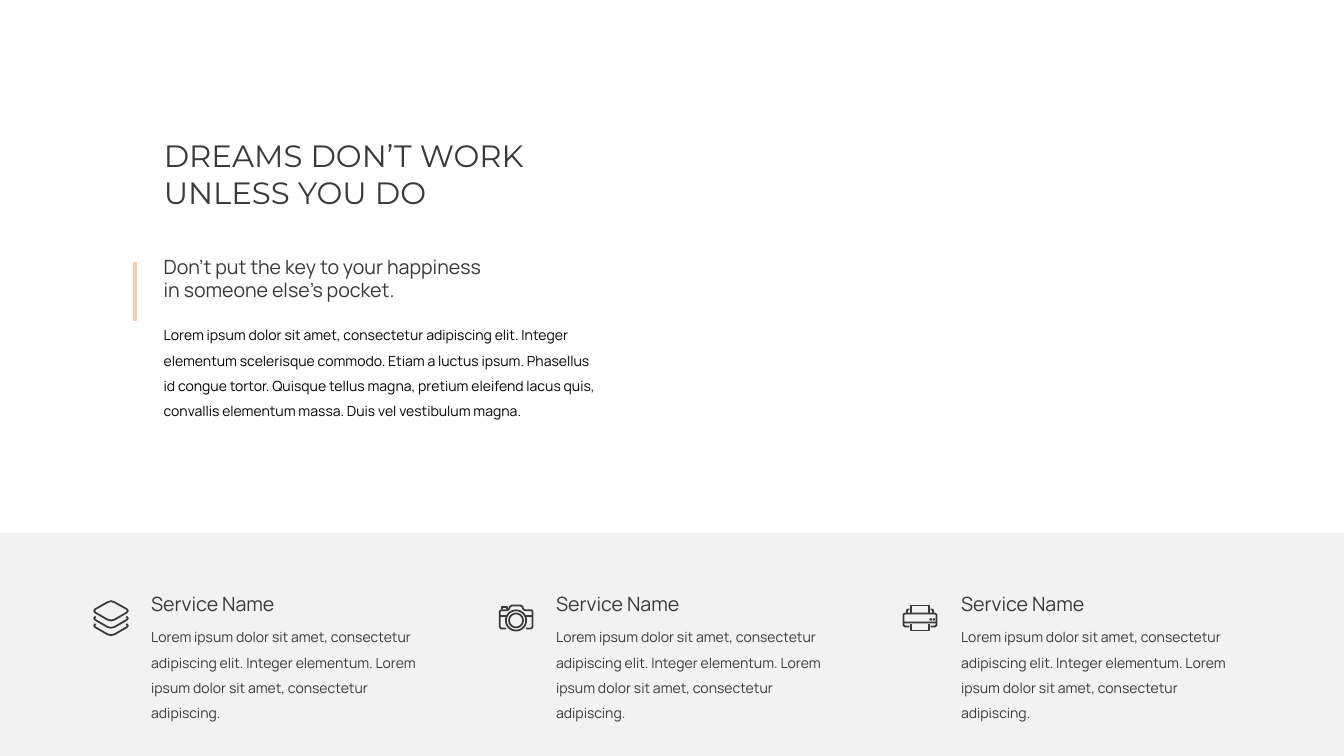
from math import cos, pi, sin

from pptx import Presentation
from pptx.dml.color import RGBColor
from pptx.enum.shapes import MSO_CONNECTOR as Connector, MSO_SHAPE as Shape
from pptx.enum.text import MSO_ANCHOR as Anchor, MSO_AUTO_SIZE as AutoSize, PP_ALIGN as Align
from pptx.oxml.ns import qn
from pptx.util import Cm, Pt
from lxml.etree import SubElement

COLORS = {"ink": "3B3838", "black": "000000", "accent": "FCC8A8", "band": "F2F2F2"}

deck = Presentation()
deck.slide_width, deck.slide_height = Cm(67.74), Cm(38.1)
page = deck.slides.add_slide(deck.slide_layouts[5])


def write(box, place, text, size, font="Manrope", color="ink", spacing=1.0):
    """Place a text shape (left, top, width, height in cm) and fill in its text."""
    box.left, box.top, box.width, box.height = map(Cm, place)
    frame = box.text_frame
    frame.text = text
    frame.word_wrap = True
    frame.auto_size = AutoSize.NONE
    frame.vertical_anchor = Anchor.TOP
    para = frame.paragraphs[0]
    para.alignment = Align.LEFT
    para.line_spacing = spacing
    para.font.size = Pt(size)
    para.font.name = font
    para.font.color.rgb = RGBColor.from_string(COLORS[color])


def draw_icon(contours, left, top):
    """Draw one outline from (points, closed) contours, in cm from the icon corner."""
    builder = None
    for points, closed in contours:
        spots = [(Cm(left + x), Cm(top + y)) for x, y in points]
        if builder is None:
            builder = page.shapes.build_freeform(*spots[0])
        else:
            builder.move_to(*spots[0])
        builder.add_line_segments(spots[1:], close=closed)
    outline = builder.convert_to_shape()
    outline.shadow.inherit = False
    outline.fill.background()
    outline.line.color.rgb = RGBColor.from_string(COLORS["ink"])
    outline.line.width = Pt(2.5)


# Heading and introduction
write(page.shapes.title, (8, 6.78, 19.71, 4.01), "DREAMS DON’T WORK UNLESS YOU DO", 44, "Montserrat")
intro = (
    "Lorem ipsum dolor sit amet, consectetur adipiscing elit. Integer elementum scelerisque "
    "commodo. Etiam a luctus ipsum. Phasellus id congue tortor. Quisque tellus magna, pretium "
    "eleifend lacus quis, convallis elementum massa. Duis vel vestibulum magna."
)
write(page.shapes.add_textbox(0, 0, 0, 0), (8, 15.93, 22.3, 5.38), intro, 20, color="black", spacing=1.5)
write(page.shapes.add_textbox(0, 0, 0, 0), (8, 12.7, 17.22, 2.64),
      "Don’t put the key to your happiness in someone else’s pocket.", 28)

accent = page.shapes.add_connector(Connector.STRAIGHT, Cm(6.81), Cm(13.2), Cm(6.81), Cm(16.18))
accent.line.color.rgb = RGBColor.from_string(COLORS["accent"])
accent.line.width = Pt(6)
SubElement(accent._element.spPr, qn("a:effectLst"))

# Services band
band = page.shapes.add_shape(Shape.RECTANGLE, 0, Cm(26.85), deck.slide_width, Cm(11.25))
band.shadow.inherit = False
band.fill.solid()
band.fill.fore_color.rgb = RGBColor.from_string(COLORS["band"])
band.line.fill.background()

# "closed" and "whole" halves join their mirror image, "pair" halves stand apart from it.
# Circles are (centre x, centre y, radius).
ICONS = [
    {
        "at": (4.72, 30.28), "width": 1.75,
        "closed": [[(0.87, 0.02), (0.7, 0.07), (0.08, 0.42), (0.02, 0.5), (0.08, 0.59),
                    (0.7, 0.95), (0.87, 0.99)]],
        "whole": [[(0.1, y), (0.02, y + 0.09), (0.08, y + 0.17), (0.7, y + 0.53), (0.87, y + 0.57)]
                  for y in (0.79, 1.16)],
    },
    {
        "at": (25.17, 30.5), "width": 1.69,
        "whole": [[(0.34, 1.17), (0.08, 1.17), (0.02, 1.1), (0.02, 0.32), (0.08, 0.25), (0.41, 0.25),
                   (0.5, 0.18), (0.52, 0.08), (0.62, 0.02)]],
        "pair": [[(0.02, 0.55), (0.36, 0.55)]],
        "plain": [[(0.13, 0.19), (0.13, 0.1), (0.38, 0.1), (0.38, 0.19)]],
        "circles": [(0.84, 0.77, 0.35), (0.84, 0.77, 0.51)],
    },
    {
        "at": (45.52, 30.5), "width": 1.7,
        "closed": [[(0.38, 0.42), (0.38, 0.02)],
                   [(0.02, 0.87), (0.02, 0.48), (0.08, 0.42)]],
        "whole": [[(0.38, 0.95), (0.38, 1.28)]],
        "pair": [[(0.32, 1.07), (0.08, 1.07), (0.02, 1.01), (0.02, 0.87)],
                 [(0.32, 0.22), (0.24, 0.22), (0.19, 0.27), (0.19, 0.42)]],
        "circles": [(1.39, 0.72, 0.02), (1.55, 0.72, 0.02)],
    },
]
SERVICE = (
    "Lorem ipsum dolor sit amet, consectetur adipiscing elit. Integer elementum. "
    "Lorem ipsum dolor sit amet, consectetur adipiscing."
)
CIRCLE_STEPS = 36

for column, icon in enumerate(ICONS):
    contours = [(points, False) for points in icon.get("plain", [])]
    for kind in ("closed", "whole", "pair"):
        for half in icon.get(kind, []):
            mirror = [(icon["width"] - x, y) for x, y in reversed(half)]
            if kind == "pair":
                contours += [(half, False), (mirror, False)]
            else:
                contours.append((half + mirror, kind == "closed"))
    for x, y, radius in icon.get("circles", []):
        angles = [2 * pi * step / CIRCLE_STEPS for step in range(CIRCLE_STEPS)]
        contours.append(([(x + radius * cos(a), y + radius * sin(a)) for a in angles], True))
    draw_icon(contours, *icon["at"])

    text_left = 7.37 + column * 20.41
    write(page.shapes.add_textbox(0, 0, 0, 0), (text_left, 29.69, 9.14, 1.45), "Service Name", 28)
    write(page.shapes.add_textbox(0, 0, 0, 0), (text_left, 31.15, 14.83, 4.11), SERVICE, 20, spacing=1.5)

deck.save("out.pptx")
